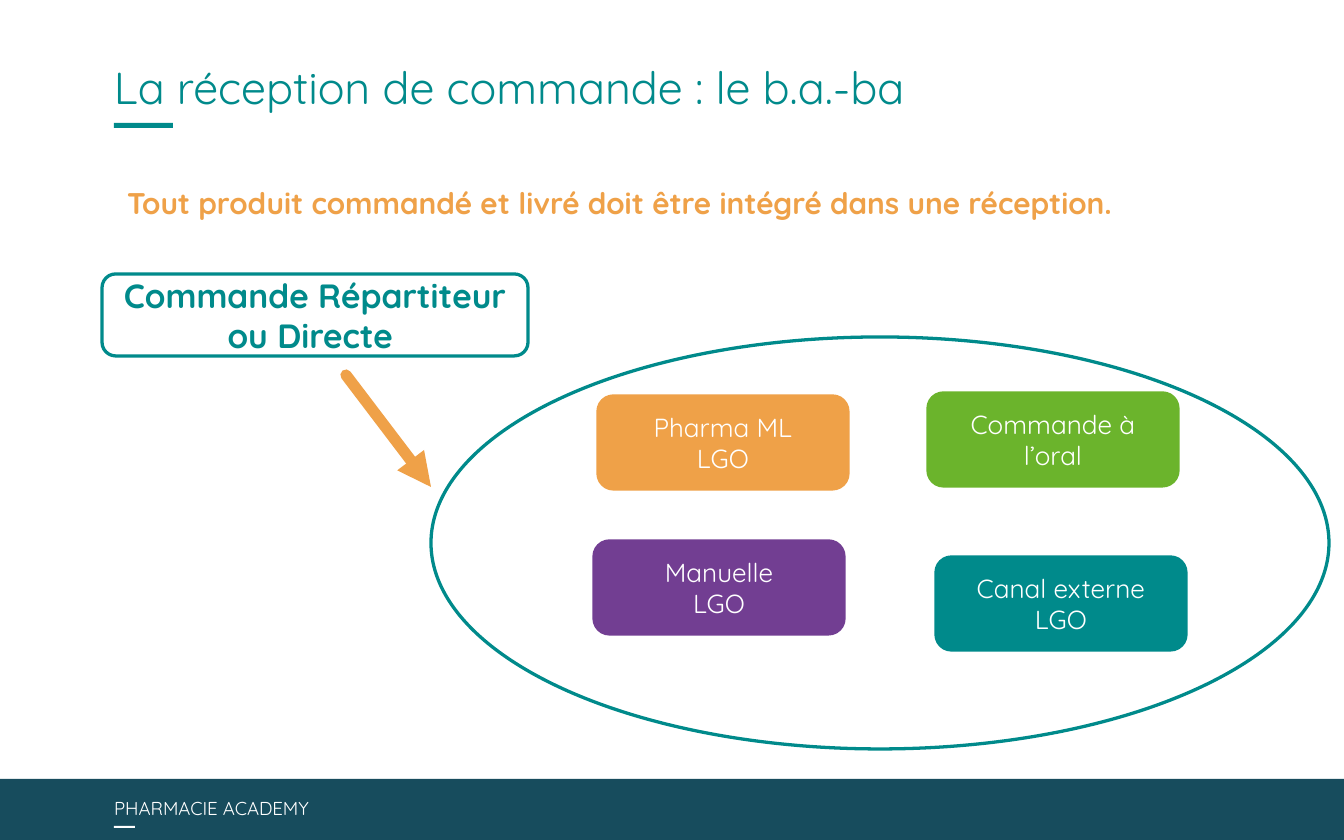
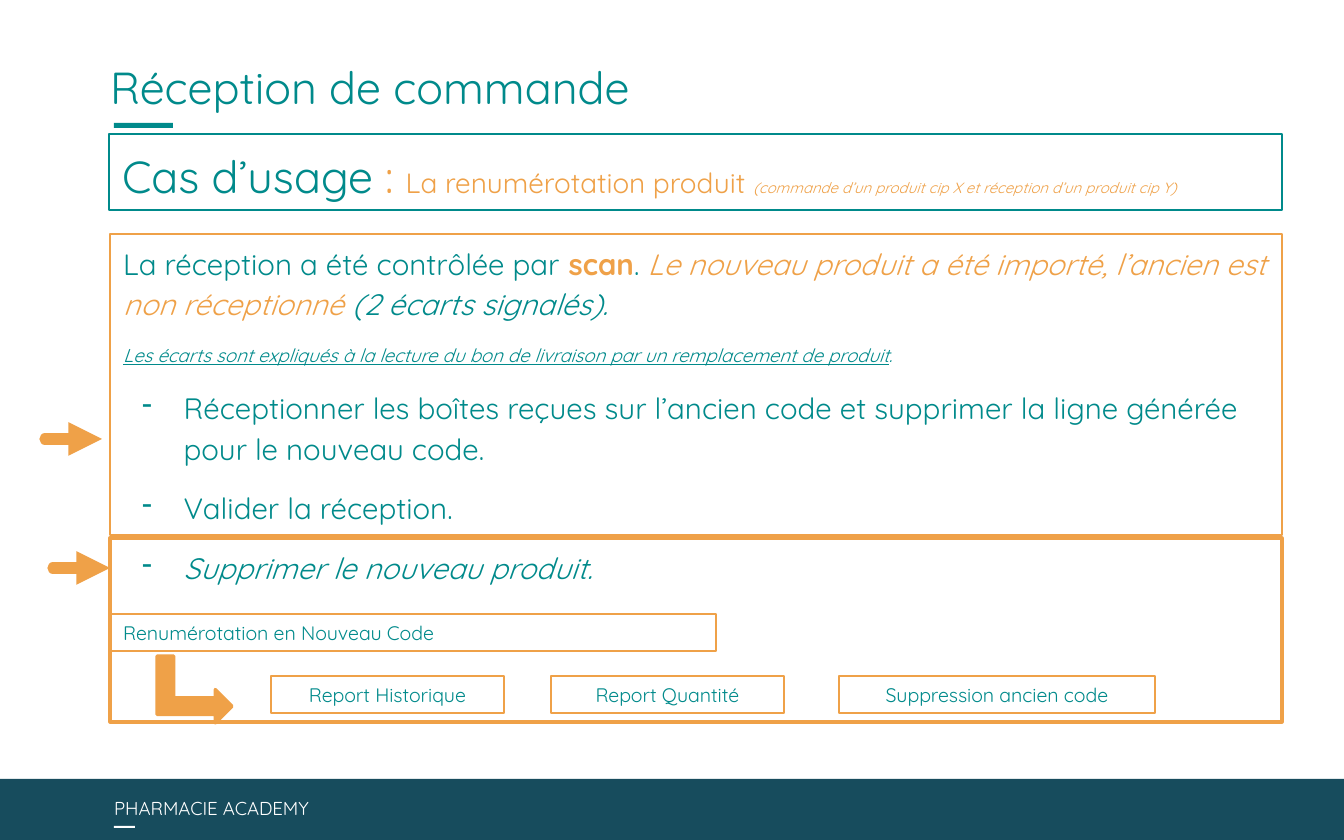
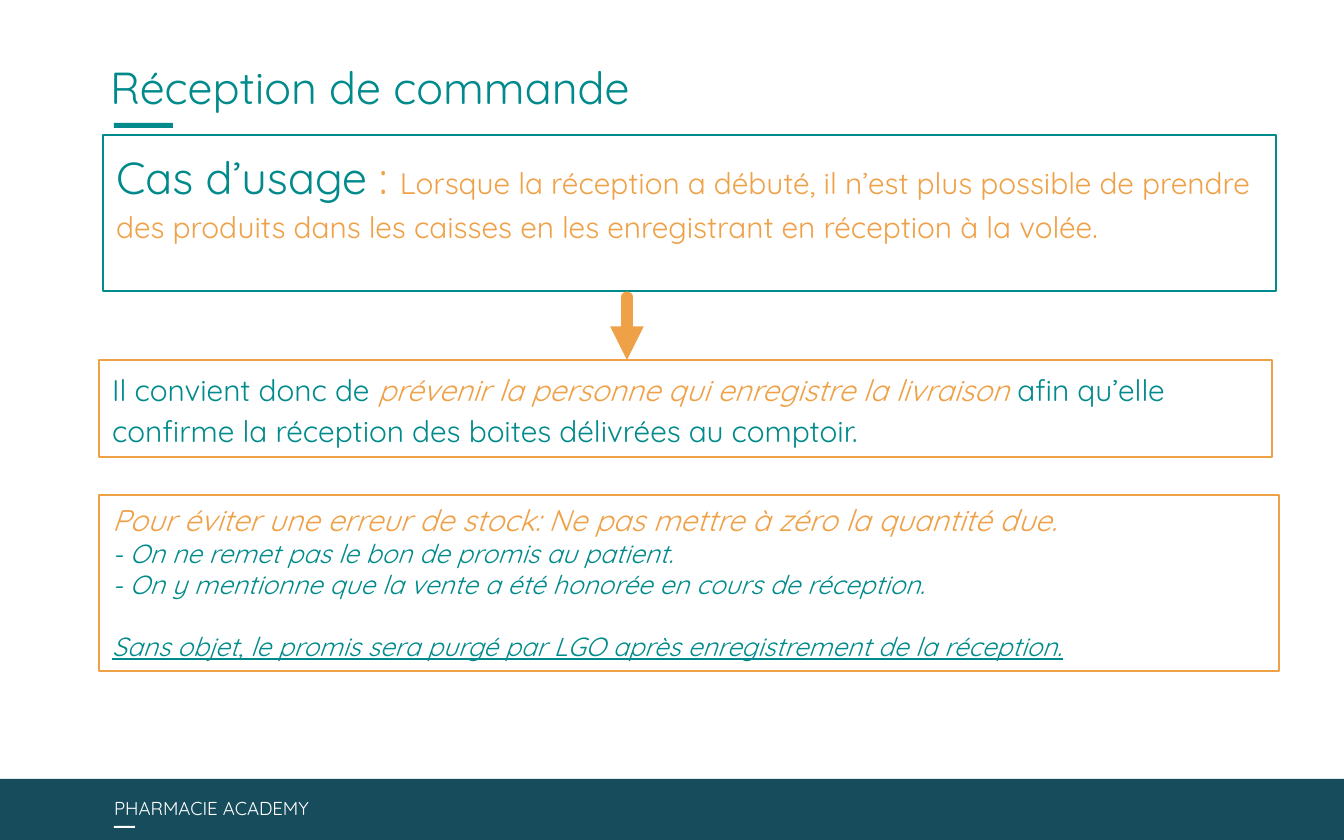
"""Build three slides on receiving pharmacy orders."""
from dataclasses import dataclass
from typing import Optional

from lxml import etree
from pptx import Presentation
from pptx import util as u
from pptx.dml.color import RGBColor
from pptx.enum import shapes, text
from pptx.oxml.ns import qn

WIDTH, HEIGHT = 1344, 840
EMU_PER_PX = u.Inches(10) / WIDTH
FORM = shapes.MSO_SHAPE
ALIGN = text.PP_ALIGN
ANCHOR = text.MSO_ANCHOR


@dataclass(frozen=True)
class Theme:
    """Colours as hex, type sizes and line widths in points."""
    font: str = "Quicksand"
    teal: str = "008A8B"
    orange: str = "EFA148"
    purple: str = "723E92"
    green: str = "6BB42C"
    navy: str = "174C5D"
    white: str = "FFFFFF"
    title: float = 24
    lead: float = 18
    body: float = 16
    steps: float = 15.8
    topic: float = 15
    label: float = 14
    tag: float = 10.5
    small: float = 10
    aside: float = 8
    hairline: float = 0.75
    outline: float = 1.75
    arrow: float = 6


THEME = Theme()


@dataclass(frozen=True)
class Run:
    """A stretch of text in one format."""
    words: str
    size: float
    color: str = THEME.teal
    bold: bool = False
    italic: bool = False
    underline: bool = False


@dataclass(frozen=True)
class Para:
    """A paragraph of runs."""
    runs: tuple[Run, ...]
    align: ALIGN = ALIGN.LEFT
    spacing: float = 1.0
    before: float = 0
    dash: bool = False


@dataclass(frozen=True)
class Box:
    """A shape in px, or a text box when it has no form."""
    x: int
    y: int
    w: int
    h: int
    paras: tuple[Para, ...] = ()
    form: Optional[FORM] = FORM.RECTANGLE
    fill: Optional[str] = None
    line: Optional[str] = None
    weight: float = THEME.hairline
    anchor: ANCHOR = ANCHOR.TOP
    rotation: int = 0


@dataclass(frozen=True)
class Arrow:
    """An arrow between two points in px."""
    x1: int
    y1: int
    x2: int
    y2: int


def px(length: int) -> u.Emu:
    """Turn px into EMU."""
    return u.Emu(round(length * EMU_PER_PX))


def body(*runs: Run, align: ALIGN = ALIGN.LEFT, dash: bool = False) -> Para:
    """Make a paragraph with the airy spacing of running text."""
    return Para(runs, align, 1.15, 10, dash)


def assign(target: object, values: dict) -> None:
    """Set each named attribute of the target."""
    for name, value in values.items():
        setattr(target, name, value)


def write(frame, paras: tuple[Para, ...]) -> None:
    """Write paragraphs into a text frame."""
    for index, para in enumerate(paras):
        paragraph = frame.paragraphs[0] if index == 0 else frame.add_paragraph()
        assign(paragraph, {"alignment": para.align, "line_spacing": para.spacing,
                           "space_before": u.Pt(para.before)})
        if para.dash:
            properties = paragraph._p.get_or_add_pPr()
            properties.set("marL", str(u.Inches(0.45)))
            properties.set("indent", str(u.Inches(-0.31)))
            etree.SubElement(properties, qn("a:buChar"), char="-")
        for run in para.runs:
            piece = paragraph.add_run()
            piece.text = run.words
            assign(piece.font, {"name": THEME.font, "size": u.Pt(run.size), "bold": run.bold,
                                "italic": run.italic, "underline": run.underline})
            piece.font.color.rgb = RGBColor.from_string(run.color)


def draw_box(slide, box: Box):
    """Draw a box with its text."""
    place = [px(length) for length in (box.x, box.y, box.w, box.h)]
    if box.form is None:
        shape = slide.shapes.add_textbox(*place)
    else:
        shape = slide.shapes.add_shape(box.form, *place)
        shape.shadow.inherit = False
        shape.rotation = box.rotation
        if box.fill:
            shape.fill.solid()
            shape.fill.fore_color.rgb = RGBColor.from_string(box.fill)
        else:
            shape.fill.background()
        if box.line:
            shape.line.color.rgb = RGBColor.from_string(box.line)
            shape.line.width = u.Pt(box.weight)
        else:
            shape.line.fill.background()
    assign(shape.text_frame, {"word_wrap": True, "vertical_anchor": box.anchor,
                              "auto_size": text.MSO_AUTO_SIZE.NONE})
    write(shape.text_frame, box.paras)
    return shape


def draw_arrow(slide, arrow: Arrow) -> None:
    """Draw a thick orange arrow with a round start."""
    ends = [px(length) for length in (arrow.x1, arrow.y1, arrow.x2, arrow.y2)]
    connector = slide.shapes.add_connector(shapes.MSO_CONNECTOR.STRAIGHT, *ends)
    connector.line.color.rgb = RGBColor.from_string(THEME.orange)
    connector.line.width = u.Pt(THEME.arrow)
    line = connector.line._get_or_add_ln()
    line.set("cap", "rnd")
    etree.SubElement(line, qn("a:tailEnd"), type="triangle")
    etree.SubElement(connector._element.spPr, qn("a:effectLst"))


def draw(slide, items: list) -> None:
    """Draw boxes and arrows from back to front."""
    for item in items:
        if isinstance(item, Arrow):
            draw_arrow(slide, item)
        else:
            draw_box(slide, item)


def dress_layout(layout, slide) -> None:
    """Move the shared rule, band and footer onto the layout."""
    for placeholder in list(layout.placeholders):
        if placeholder.placeholder_format.idx:
            layout.shapes.element.remove(placeholder.element)
    footer = Para((Run("PHARMACIE ACADEMY", THEME.small, THEME.white),))
    for box in (Box(114, 123, 59, 5, fill=THEME.teal),
                Box(0, 779, WIDTH, 61, fill=THEME.navy),
                Box(114, 826, 21, 2, fill=THEME.white),
                Box(101, 790, 300, 36, (footer,), None)):
        layout.shapes.element.append(draw_box(slide, box).element)


def set_title(slide, words: str, left: int) -> None:
    """Place and format the slide title."""
    title = slide.shapes.title
    assign(title, {"left": px(left), "top": px(13), "width": px(1167), "height": px(101)})
    assign(title.text_frame, {"margin_left": 0, "margin_top": 0, "margin_right": 0,
                              "margin_bottom": 0, "word_wrap": True,
                              "vertical_anchor": ANCHOR.BOTTOM,
                              "auto_size": text.MSO_AUTO_SIZE.NONE})
    write(title.text_frame, (Para((Run(words, THEME.title),), spacing=0.9),))


def channel(x: int, y: int, color: str, *lines: str) -> Box:
    """Make a coloured ordering channel."""
    paras = tuple(Para((Run(line, THEME.label, THEME.white),), ALIGN.CENTER) for line in lines)
    return Box(x, y, 250, 93, paras, FORM.ROUNDED_RECTANGLE, color, color,
               THEME.outline, ANCHOR.MIDDLE)


def tag(x: int, y: int, w: int, words: str, align: ALIGN = ALIGN.CENTER) -> Box:
    """Make a small framed label."""
    return Box(x, y, w, 37, (Para((Run(words, THEME.tag),), align),), line=THEME.orange)


def use_case(x: int, y: int, h: int, *runs: Run) -> Box:
    """Make the teal frame that states a use case."""
    opening = (Run("Cas d’usage ", THEME.title), Run(": ", THEME.title, THEME.orange))
    return Box(x, y, 1173, h, (body(*opening, *runs),), line=THEME.teal)


def basics() -> list:
    """List the content of the basics slide."""
    rule = Run("Tout produit commandé et livré doit être intégré dans une réception.",
               THEME.body, THEME.orange, bold=True)
    order = Run("Commande Répartiteur ou Directe ", THEME.lead, bold=True)
    return [
        Box(114, 173, 1034, 51, (body(rule),), None),
        Box(102, 274, 426, 82, (Para((order,), ALIGN.CENTER),), FORM.ROUNDED_RECTANGLE,
            line=THEME.teal, weight=THEME.outline, anchor=ANCHOR.MIDDLE),
        channel(598, 396, THEME.orange, "Pharma ML", "LGO"),
        channel(594, 541, THEME.purple, "Manuelle", "LGO"),
        channel(936, 557, THEME.teal, "Canal externe", "LGO"),
        channel(928, 393, THEME.green, "Commande à l’oral"),
        Box(431, 337, 898, 412, form=FORM.OVAL, line=THEME.teal, weight=THEME.outline),
        Arrow(346, 375, 431, 487),
    ]


def renumbering() -> list:
    """List the content of the renumbering slide."""
    size = THEME.steps
    steps = (
        body(Run("La réception a été contrôlée par ", size),
             Run("scan", size, THEME.orange, bold=True),
             Run(". ", size),
             Run("Le nouveau produit a été importé, l’ancien est non réceptionné",
                 size, THEME.orange, italic=True),
             Run(" (2 écarts signalés).", size, italic=True)),
        body(Run("Les écarts sont expliqués à la lecture du bon de livraison par un "
                 "remplacement de produit", THEME.small, italic=True, underline=True),
             Run(".", THEME.small, italic=True), align=ALIGN.JUSTIFY),
        body(Run("Réceptionner les boîtes reçues sur l’ancien code et supprimer la ligne "
                 "générée pour le nouveau code.", size), dash=True),
        body(Run("Valider la réception.", size), dash=True),
    )
    removal = body(Run("Supprimer le nouveau produit.", size, italic=True), dash=True)
    return [
        Box(110, 234, 1172, 301, steps, line=THEME.orange),
        tag(110, 614, 606, "Renumérotation en Nouveau Code", ALIGN.LEFT),
        tag(271, 676, 233, "Report Historique"),
        tag(551, 676, 233, "Report Quantité"),
        tag(839, 676, 316, "Suppression ancien code"),
        Box(161, 652, 67, 75, form=FORM.BENT_UP_ARROW, fill=THEME.orange, line=THEME.orange,
            weight=THEME.outline, rotation=90),
        use_case(109, 134, 76,
                 Run("La renumérotation produit ", THEME.topic, THEME.orange),
                 Run("(commande d’un produit cip X et réception d’un produit cip Y)",
                     THEME.aside, THEME.orange, italic=True)),
        Box(110, 538, 1172, 184, line=THEME.orange, weight=THEME.outline),
        Box(110, 538, 524, 55, (removal,), None),
        Arrow(45, 439, 102, 439),
        Arrow(53, 568, 110, 568),
    ]


def started_reception() -> list:
    """List the content of the slide on a reception under way."""
    size = THEME.body
    advice = body(Run("Il convient donc de ", size),
                  Run("prévenir la personne qui enregistre la livraison ", size,
                      THEME.orange, italic=True),
                  Run("afin qu’elle confirme la réception des boites délivrées au comptoir.",
                      size))
    warning = (
        Para((Run("Pour éviter une erreur de stock: Ne pas mettre à zéro la quantité due.",
                  size, THEME.orange, italic=True),)),
        Para((Run("- On ne remet pas le bon de promis au patient.",
                  THEME.label, italic=True),)),
        Para((Run("- On y mentionne que la vente a été honorée en cours de réception.",
                  THEME.label, italic=True),)),
        Para((Run("Sans objet, le promis sera purgé par LGO après enregistrement de la "
                  "réception.", THEME.label, italic=True, underline=True),), before=16),
    )
    return [
        use_case(103, 135, 156,
                 Run("Lorsque la réception a débuté, il n’est plus possible de prendre des "
                     "produits dans les caisses en les enregistrant en réception à la volée.",
                     size, THEME.orange)),
        Arrow(627, 297, 627, 360),
        Box(99, 360, 1173, 97, (advice,), line=THEME.orange),
        Box(99, 495, 1180, 176, warning, line=THEME.orange),
    ]


def main() -> None:
    """Build and save the presentation."""
    deck = Presentation()
    assign(deck, {"slide_width": px(WIDTH), "slide_height": px(HEIGHT)})
    layout = deck.slide_layouts[5]
    pages = (("La réception de commande : le b.a.-ba", 114, basics()),
             ("Réception de commande", 110, renumbering()),
             ("Réception de commande", 110, started_reception()))
    for number, (title, left, items) in enumerate(pages):
        slide = deck.slides.add_slide(layout)
        if number == 0:
            dress_layout(layout, slide)
        set_title(slide, title, left)
        draw(slide, items)
    deck.save("out.pptx")


if __name__ == "__main__":
    main()
